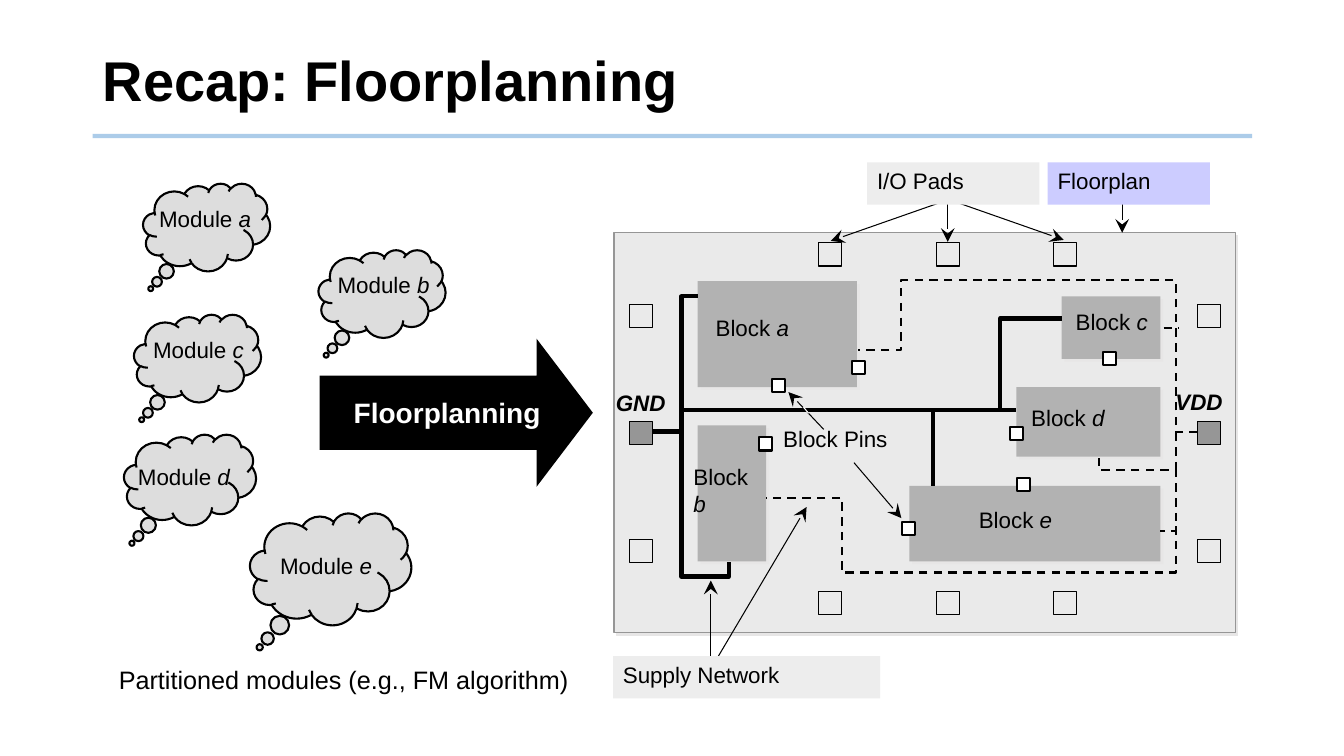
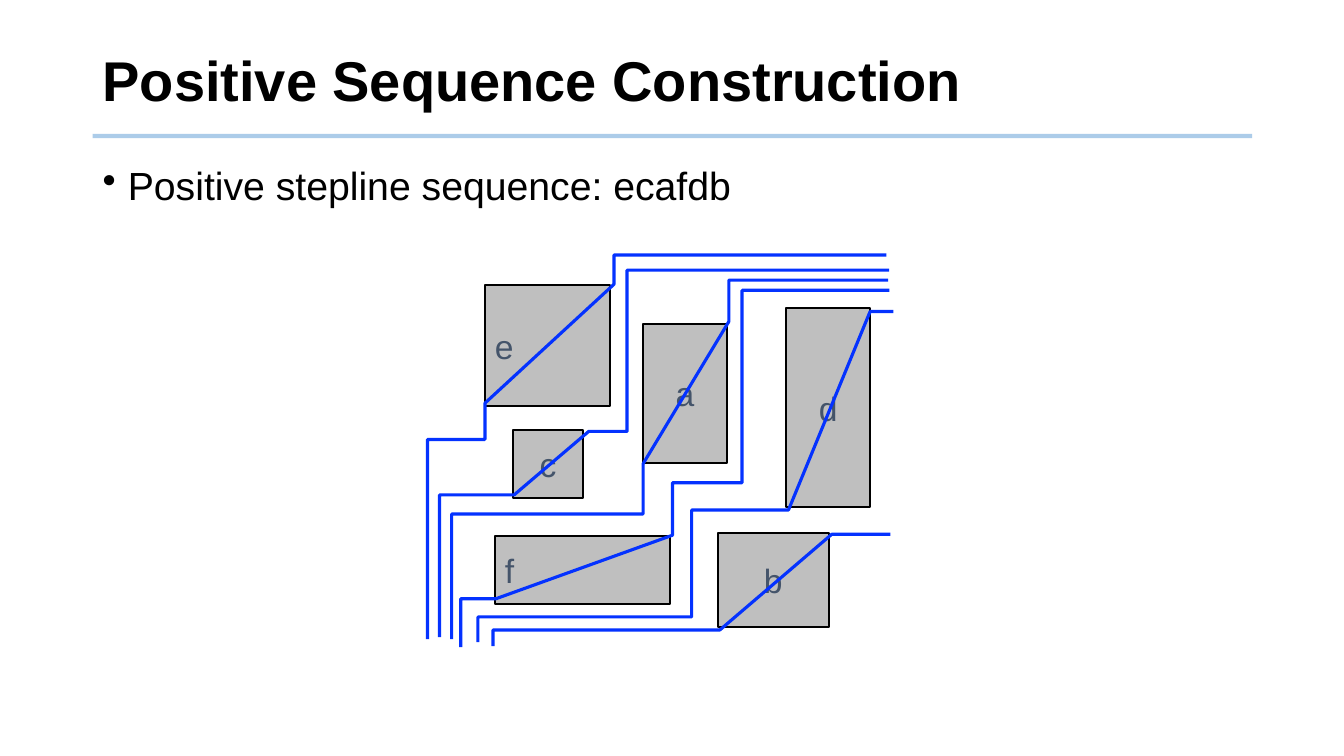
from dataclasses import dataclass
from typing import NamedTuple

from lxml import etree
from pptx import Presentation
from pptx.dml.color import RGBColor
from pptx.enum.dml import MSO_LINE
from pptx.enum.shapes import MSO_CONNECTOR, MSO_SHAPE
from pptx.enum.text import MSO_ANCHOR, PP_ALIGN
from pptx.oxml.ns import qn
from pptx.util import Emu, Pt

PX = 9144  # EMU in one px: 100 px make an inch
FONT = "Arial"
COLORS = {
    "ink": "000000", "paper": "FFFFFF", "rule": "5B9BD5", "cloud": "DDDDDD",
    "floor": "EAEAEA", "floor_edge": "969696", "block": "B2B2B2",
    "shadow": "E7E6E6", "label": "EDEDED", "floorplan": "CCCCFF",
    "module": "BFBFBF", "module_name": "44546A", "stepline": "0432FF",
}
RECT, CLOUD, ARROW = MSO_SHAPE.RECTANGLE, MSO_SHAPE.CLOUD_CALLOUT, MSO_SHAPE.RIGHT_ARROW
STRAIGHT, DASH = MSO_CONNECTOR.STRAIGHT, MSO_LINE.DASH
TOP, MIDDLE = MSO_ANCHOR.TOP, MSO_ANCHOR.MIDDLE
LEFT, CENTER = PP_ALIGN.LEFT, PP_ALIGN.CENTER


class Box(NamedTuple):
    x: int
    y: int
    w: int
    h: int


Points = list[tuple[int, int]]


@dataclass(frozen=True)
class Module:
    letter: str
    cloud: Box
    text: Box


@dataclass(frozen=True)
class Block:
    letter: str
    box: Box
    text: Box
    gap: str = " "


@dataclass(frozen=True)
class Wire:
    points: Points
    dashed: bool = False


@dataclass(frozen=True)
class Label:
    text: str
    box: Box
    fill: str = "label"


@dataclass(frozen=True)
class Cell:
    letter: str
    box: Box
    align: PP_ALIGN = CENTER


# Slide 1: modules on the left, floorplan on the right
MODULES = [
    Module("e", Box(248, 509, 160, 111), Box(268, 543, 149, 37)),
    Module("d", Box(123, 431, 131, 90), Box(127, 455, 130, 37)),
    Module("c", Box(133, 312, 126, 87), Box(142, 329, 139, 37)),
    Module("b", Box(316, 248, 126, 87), Box(325, 264, 129, 37)),
    Module("a", Box(142, 182, 126, 87), Box(148, 199, 128, 37)),
]
BLOCKS = [
    Block("a", Box(692, 279, 158, 105), Box(700, 307, 133, 42)),
    Block("b", Box(692, 422, 68, 135), Box(678, 455, 96, 73), "\n"),
    Block("c", Box(1053, 294, 98, 62), Box(1057, 301, 135, 42)),
    Block("d", Box(1008, 384, 143, 69), Box(1013, 396, 133, 42)),
    Block("e", Box(902, 482, 249, 75), Box(961, 497, 135, 42)),
]
PAD, PIN = 23, 13
PAD_COLUMNS, PAD_ROWS = (624, 1188), (241, 587)
IO_PADS = [(x, y) for y in PAD_ROWS for x in (812, 929, 1045)]
IO_PADS += [(x, y) for x in PAD_COLUMNS for y in (302, 535)]
SUPPLY_PADS = [(x, 418) for x in PAD_COLUMNS]
PINS = [(753, 434), (766, 376), (845, 358), (1002, 424), (1094, 349),
        (1009, 474), (895, 518)]
WIRES = [
    # GND
    Wire([(677, 407), (1008, 407)]),
    Wire([(925, 407), (925, 482)]),
    Wire([(647, 428), (676, 428), (676, 294), (692, 294)]),
    Wire([(992, 406), (992, 316), (1053, 316)]),
    Wire([(676, 427), (676, 572), (723, 572), (723, 558)]),
    # VDD
    Wire([(1154, 325), (1169, 325)], True),
    Wire([(1166, 429), (1166, 466), (1090, 466), (1090, 454)], True),
    Wire([(1166, 465), (1166, 527), (1151, 527)], True),
    Wire([(1166, 522), (1166, 568), (835, 568), (835, 494), (760, 494)], True),
    Wire([(1188, 429), (1166, 429), (1166, 278), (894, 278), (894, 347), (851, 347)], True),
]
POINTERS = [
    [(941, 198), (824, 239)], [(940, 197), (940, 240)], [(941, 198), (1055, 238)],
    [(705, 661), (705, 576)], [(706, 662), (800, 503)], [(1113, 193), (1113, 231)],
    [(817, 426), (782, 389)], [(847, 459), (894, 514)],
]
LABELS = [
    Label("I/O Pads", Box(860, 161, 171, 42)),
    Label("Floorplan", Box(1039, 161, 161, 42), "floorplan"),
    Label("Supply Network", Box(608, 651, 265, 42)),
]
RAILS = [Label("GND", Box(601, 381, 79, 42)), Label("VDD", Box(1156, 380, 76, 42))]

# Slide 2: placed cells and the steplines through them
CELLS = [
    Cell("e", Box(481, 283, 124, 120), LEFT),
    Cell("a", Box(638, 321, 83, 138)),
    Cell("f", Box(491, 532, 174, 67), LEFT),
    Cell("d", Box(780, 306, 83, 197)),
    Cell("c", Box(509, 427, 69, 67)),
    Cell("b", Box(712, 529, 110, 93)),
]
STEPLINES = [
    [(424, 634), (424, 436), (481, 436), (481, 400), (609, 282), (609, 253), (879, 253)],
    [(436, 632), (436, 491), (510, 491), (584, 428), (622, 428), (622, 268), (882, 268)],
    [(457, 642), (457, 594), (492, 594), (667, 531), (667, 479), (736, 479), (736, 288),
     (882, 288)],
    [(448, 634), (448, 510), (638, 510), (638, 460), (723, 319), (723, 278), (881, 278)],
    [(474, 637), (474, 612), (686, 612), (686, 506), (782, 506), (863, 309), (886, 309)],
    [(489, 641), (489, 625), (714, 625), (825, 530), (883, 530)],
]


def rgb(name: str) -> RGBColor:
    return RGBColor.from_string(COLORS[name])


def emu(*lengths: int) -> list[Emu]:
    return [Emu(length * PX) for length in lengths]


def add_shape(slide, box: Box, *, kind=RECT, fill="", line="", width=0.75, shadow=False):
    shape = slide.shapes.add_shape(kind, *emu(*box))
    shape.shadow.inherit = False
    if fill:
        shape.fill.solid()
        shape.fill.fore_color.rgb = rgb(fill)
    else:
        shape.fill.background()
    if line:
        shape.line.color.rgb = rgb(line)
        shape.line.width = Pt(width)
    else:
        shape.line.fill.background()
    if shadow:
        effects = shape._element.spPr.find(qn("a:effectLst"))
        outer = etree.SubElement(effects, qn("a:outerShdw"), dist="35560", dir="2700000",
                                 algn="ctr", rotWithShape="0")
        etree.SubElement(outer, qn("a:srgbClr"), val=COLORS["shadow"])
    return shape


def write(shape, text: str, *, size=16, color="ink", bold=False, italic=False,
          italic_end="", align=LEFT, anchor=TOP, spacing=1.0, bullet="") -> None:
    frame = shape.text_frame
    frame.word_wrap = True
    frame.vertical_anchor = anchor
    paragraph = frame.paragraphs[0]
    if bullet:
        props = paragraph._p.get_or_add_pPr()
        props.set("marL", str(25 * PX))
        props.set("indent", str(-25 * PX))
        etree.SubElement(props, qn("a:buChar"), char=bullet)
    paragraph.alignment = align
    paragraph.line_spacing = spacing
    first, broken, rest = text.partition("\n")
    for part, slanted in ((first, italic), (rest + italic_end, italic or bool(italic_end))):
        if not part:
            continue
        if broken and part != first:
            paragraph.add_line_break()
        run = paragraph.add_run()
        run.text = part
        run.font.name, run.font.size = FONT, Pt(size)
        run.font.bold, run.font.italic = bold, slanted
        run.font.color.rgb = rgb(color)


def add_text(slide, text: str, box: Box, **style) -> None:
    write(slide.shapes.add_textbox(*emu(*box)), text, **style)


def add_line(slide, points: Points, *, color="ink", width=0.75, dashed=False,
             arrow=False, alpha=100) -> None:
    """Draw a connector for two points and an open outline for more."""
    if len(points) == 2:
        line = slide.shapes.add_connector(STRAIGHT, *emu(*points[0], *points[1]))
    else:
        builder = slide.shapes.build_freeform(*points[0], scale=PX)
        builder.add_line_segments(points[1:], close=False)
        line = builder.convert_to_shape()
        line.fill.background()
        line.shadow.inherit = False
    line.line.color.rgb = rgb(color)
    line.line.width = Pt(width)
    if dashed:
        line.line.dash_style = DASH
    props = line._element.spPr
    stroke = props.find(qn("a:ln"))
    if alpha < 100:
        etree.SubElement(stroke.find(".//" + qn("a:srgbClr")), qn("a:alpha"),
                         val=str(alpha * 1000))
    if arrow:
        etree.SubElement(stroke, qn("a:tailEnd"), type="stealth", w="lg", len="lg")
    if len(points) == 2:
        etree.SubElement(props, qn("a:effectLst"))


def new_slide(deck, title: str):
    slide = deck.slides.add_slide(deck.slide_layouts[6])
    add_line(slide, [(92, 135), (1242, 135)], color="rule", width=3, alpha=50)
    add_text(slide, title, Box(92, 28, 1150, 110), size=40, bold=True, anchor=MIDDLE,
             spacing=0.9)
    return slide


def floorplanning_slide(deck) -> None:
    slide = new_slide(deck, "Recap: Floorplanning")

    # Partitioned modules and the step to the floorplan
    step = add_shape(slide, Box(317, 336, 271, 147), kind=ARROW, fill="ink")
    step.adjustments[0], step.adjustments[1] = 0.5, 0.38
    for module in MODULES:
        cloud = add_shape(slide, module.cloud, kind=CLOUD, fill="cloud", line="ink", width=1.5)
        cloud.adjustments[0], cloud.adjustments[1] = -0.44, 0.7
        add_text(slide, "Module ", module.text, italic_end=module.letter)
    add_text(slide, "Floorplanning", Box(341, 387, 211, 44), size=20, color="paper", bold=True)
    add_text(slide, "Partitioned modules (e.g., FM algorithm)", Box(108, 654, 480, 40), size=18)

    # Floor, blocks and pads
    add_shape(slide, Box(609, 231, 616, 397), fill="floor", line="floor_edge", shadow=True)
    for block in BLOCKS:
        add_shape(slide, block.box, fill="block", shadow=True)
    for pads, fill in ((IO_PADS, ""), (SUPPLY_PADS, "floor_edge")):
        for x, y in pads:
            add_shape(slide, Box(x, y, PAD, PAD), fill=fill, line="ink")

    # Supply network and block pins
    for wire in WIRES:
        add_line(slide, wire.points, width=1.5 if wire.dashed else 3, dashed=wire.dashed)
    for x, y in PINS:
        add_shape(slide, Box(x, y, PIN, PIN), fill="paper", line="ink", width=1.5)

    # Pointers and names
    for pointer in POINTERS:
        add_line(slide, pointer, arrow=True)
    add_line(slide, [(797, 404), (802, 410)], color="paper")
    for block in BLOCKS:
        add_text(slide, "Block" + block.gap, block.text, italic_end=block.letter)
    add_text(slide, "Block Pins", Box(767, 417, 163, 42))
    for rail in RAILS:
        add_text(slide, rail.text, rail.box, bold=True, italic=True)
    for label in LABELS:
        write(add_shape(slide, label.box, fill=label.fill), label.text)


def sequence_slide(deck) -> None:
    slide = new_slide(deck, "Positive Sequence Construction")
    add_text(slide, "Positive stepline sequence: ecafdb", Box(92, 160, 1150, 515),
             size=28, spacing=0.9, bullet="•")
    for cell in CELLS:
        shape = add_shape(slide, cell.box, fill="module", line="ink", width=1.5)
        write(shape, cell.letter, size=24, color="module_name", align=cell.align, anchor=MIDDLE)
    for stepline in STEPLINES:
        add_line(slide, stepline, color="stepline", width=2.25)


def main() -> None:
    deck = Presentation()
    deck.slide_width, deck.slide_height = emu(1333, 750)
    floorplanning_slide(deck)
    sequence_slide(deck)
    deck.save("out.pptx")


if __name__ == "__main__":
    main()
